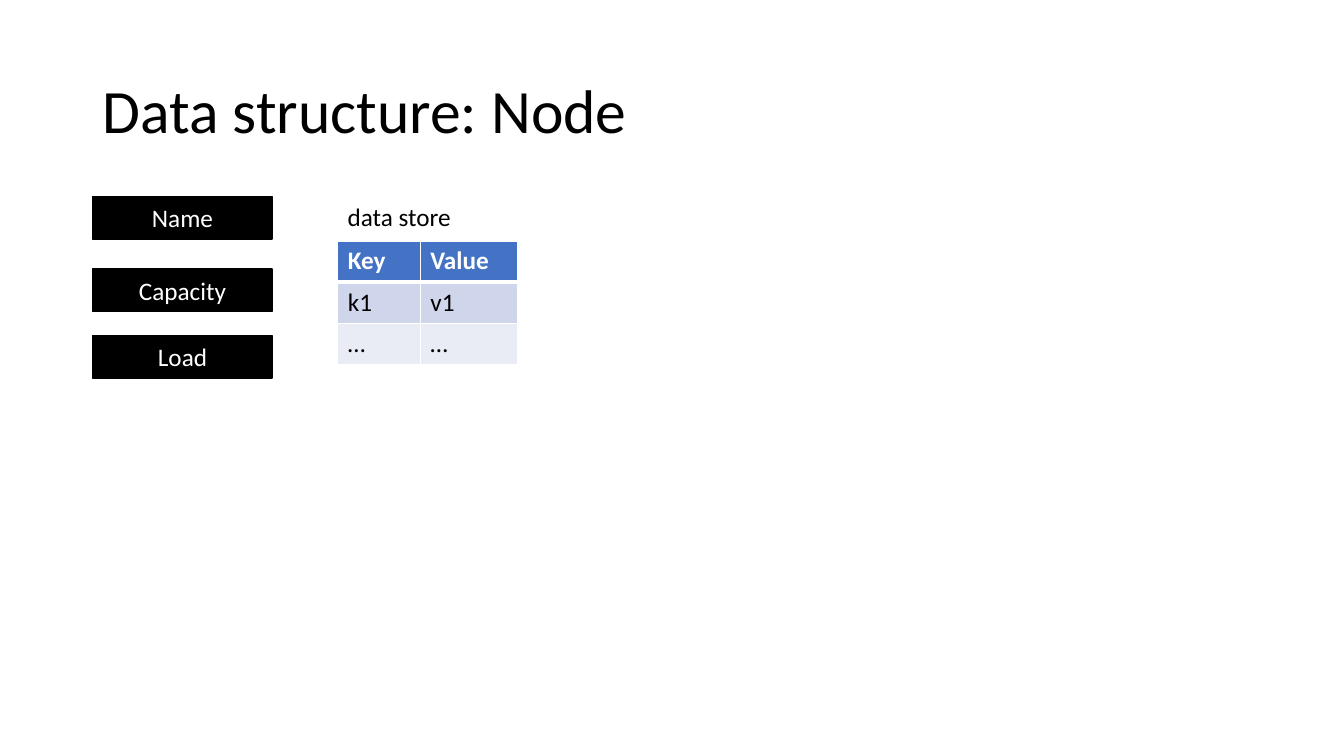
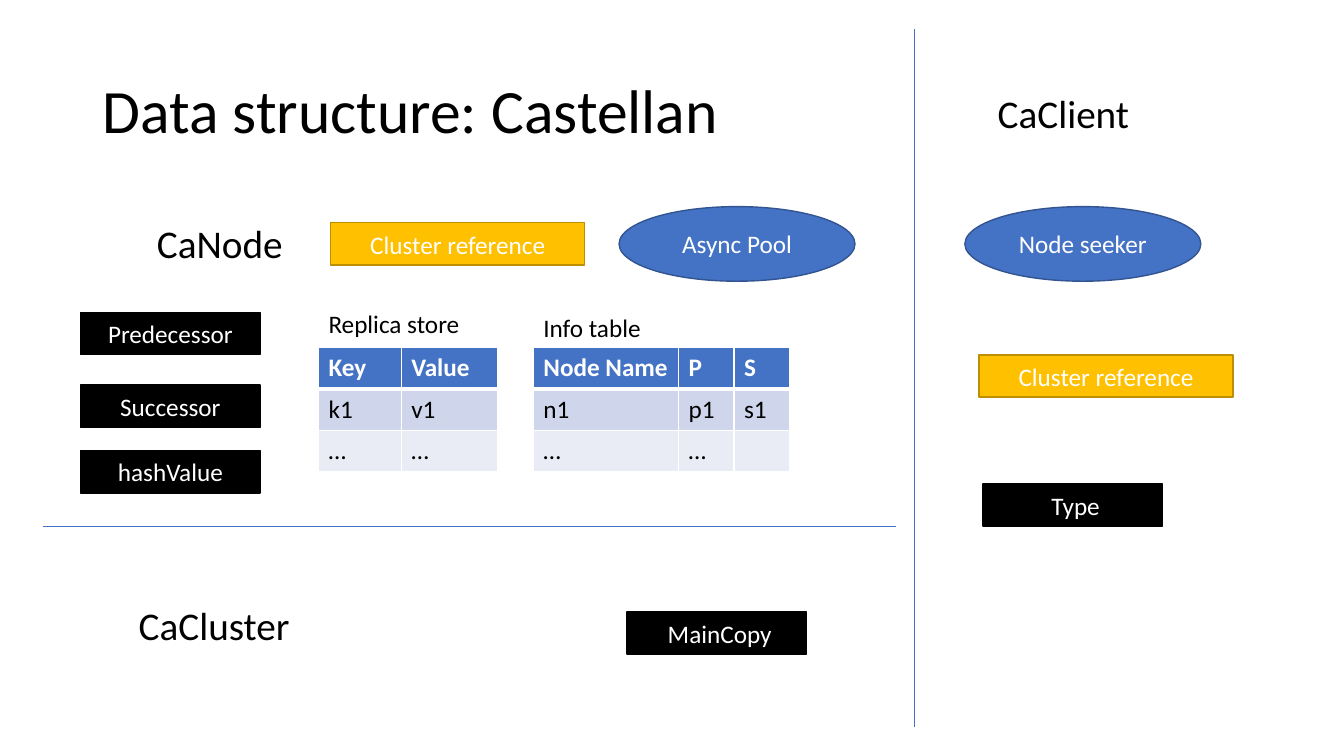
from lxml import etree
from pptx import Presentation
from pptx.dml.color import RGBColor
from pptx.enum.shapes import MSO_CONNECTOR as CONN, MSO_SHAPE as SHAPE
from pptx.enum.text import MSO_ANCHOR as ANCHOR, PP_ALIGN as ALIGN
from pptx.oxml.ns import qn
from pptx.util import Inches, Pt

# Shared style
FONT = "Calibri"
BLACK, WHITE, BLUE = "000000", "FFFFFF", "4472C4"
BAND_FILLS = ["CFD5EA", "E9EBF5"]
ROW_H = 0.41
TITLE_BOX = (0.92, 0.4, 11.5, 1.45)
# kind: preset, width, height, fill, outline
KINDS = {
    "field": (SHAPE.RECTANGLE, 1.78, 0.42, BLACK, BLACK),
    "reference": (SHAPE.RECTANGLE, 2.52, 0.42, "FFC000", "BD8E00"),
    "service": (SHAPE.OVAL, 2.34, 0.74, BLUE, "325491"),
}

# Content: nodes (kind, text, left, top), labels (text, size, box),
# tables (left, top, column widths, rows), dividers (x1, y1, x2, y2)
STORE_COLS = [0.82, 0.96]
STORE_ROWS = [["Key", "Value"], ["k1", "v1"], ["…", "…"]]
INFO_ROWS = [["Node Name", "P", "S"], ["n1", "p1", "s1"], ["…", "…", ""]]

SLIDES = [
    {
        "title": "Data structure: Node",
        "dividers": [],
        "tables": [(3.35, 2.39, STORE_COLS, STORE_ROWS)],
        "nodes": [
            ("field", "Name", 0.92, 1.95),
            ("field", "Capacity", 0.92, 2.67),
            ("field", "Load", 0.92, 3.33),
        ],
        "labels": [("data store", 18, (3.35, 1.95, 1.23, 0.4))],
    },
    {
        "title": "Data structure: Castellan",
        "dividers": [(0.43, 5.22, 8.89, 5.22), (9.07, 0.29, 9.07, 7.21)],
        "tables": [
            (3.16, 3.45, STORE_COLS, STORE_ROWS),
            (5.29, 3.45, [1.44, 0.55, 0.55], INFO_ROWS),
        ],
        "nodes": [
            ("field", "Predecessor", 0.8, 3.1),
            ("field", "Successor", 0.8, 3.82),
            ("field", "hashValue", 0.8, 4.47),
            ("field", " MainCopy", 6.22, 6.07),
            ("field", " Type", 9.75, 4.8),
            ("service", "Async Pool", 6.14, 2.05),
            ("service", "Node seeker", 9.57, 2.05),
            ("reference", "Cluster reference", 3.28, 2.21),
            ("reference", "Cluster reference", 9.71, 3.52),
        ],
        "labels": [
            ("Replica store", 18, (3.16, 3.01, 1.51, 0.4)),
            ("Info table", 18, (5.29, 3.05, 1.18, 0.4)),
            (" CaCluster", 28, (1.19, 5.92, 1.8, 0.57)),
            (" CaNode", 28, (1.37, 2.13, 1.55, 0.57)),
            (" CaClient", 28, (9.71, 0.84, 1.6, 0.57)),
        ],
    },
]


def rgb(color):
    return RGBColor.from_string(color)


def write(tf, text, size=18, color=BLACK, bold=False, align=ALIGN.LEFT, spacing=None):
    p = tf.paragraphs[0]
    p.alignment = align
    p.line_spacing = spacing
    r = p.add_run()
    r.text = text
    r.font.name, r.font.size, r.font.bold = FONT, Pt(size), bold
    r.font.color.rgb = rgb(color)


def add_label(s, text, box, wrap=False, anchor=ANCHOR.TOP, **fmt):
    tf = s.shapes.add_textbox(*map(Inches, box)).text_frame
    tf.word_wrap = wrap
    tf.vertical_anchor = anchor
    write(tf, text, **fmt)


def add_node(s, kind, text, left, top):
    preset, width, height, fill, outline = KINDS[kind]
    sp = s.shapes.add_shape(preset, *map(Inches, (left, top, width, height)))
    sp.shadow.inherit = False
    sp.fill.solid()
    sp.fill.fore_color.rgb = rgb(fill)
    sp.line.color.rgb = rgb(outline)
    sp.line.width = Pt(1)
    sp.text_frame.vertical_anchor = ANCHOR.MIDDLE
    write(sp.text_frame, text, color=WHITE, align=ALIGN.CENTER)


def add_divider(s, ends):
    line = s.shapes.add_connector(CONN.STRAIGHT, *map(Inches, ends))
    line.line.color.rgb = rgb(BLUE)
    line.line.width = Pt(0.5)
    etree.SubElement(line._element.spPr, qn("a:effectLst"))


def set_borders(cell, **widths):
    # Borders come before the fill in the cell properties
    tc_pr = cell._tc.get_or_add_tcPr()
    for i, side in enumerate("LRTB"):
        ln = etree.Element(qn("a:ln" + side), w=str(Pt(widths.get(side, 1))))
        fill = etree.SubElement(ln, qn("a:solidFill"))
        etree.SubElement(fill, qn("a:srgbClr"), val=WHITE)
        tc_pr.insert(i, ln)


def add_grid(s, left, top, cols, rows):
    box = (left, top, sum(cols), ROW_H * len(rows))
    table = s.shapes.add_table(len(rows), len(cols), *map(Inches, box)).table
    for column, width in zip(table.columns, cols):
        column.width = Inches(width)
    for i, row in enumerate(rows):
        table.rows[i].height = Inches(ROW_H)
        header = i == 0
        for j, text in enumerate(row):
            cell = table.cell(i, j)
            cell.fill.solid()
            cell.fill.fore_color.rgb = rgb(BLUE if header else BAND_FILLS[(i - 1) % 2])
            set_borders(cell, B=3 if header else 1, T=3 if i == 1 else 1)
            if text:
                write(cell.text_frame, text, color=WHITE if header else BLACK, bold=header)


# Build
prs = Presentation()
prs.slide_width, prs.slide_height = Inches(13.33), Inches(7.5)
for content in SLIDES:
    s = prs.slides.add_slide(prs.slide_layouts[6])
    add_label(s, content["title"], TITLE_BOX, wrap=True, anchor=ANCHOR.MIDDLE,
              size=44, spacing=0.9)
    for ends in content["dividers"]:
        add_divider(s, ends)
    for grid in content["tables"]:
        add_grid(s, *grid)
    for node in content["nodes"]:
        add_node(s, *node)
    for text, size, box in content["labels"]:
        add_label(s, text, box, size=size)

prs.save("out.pptx")
